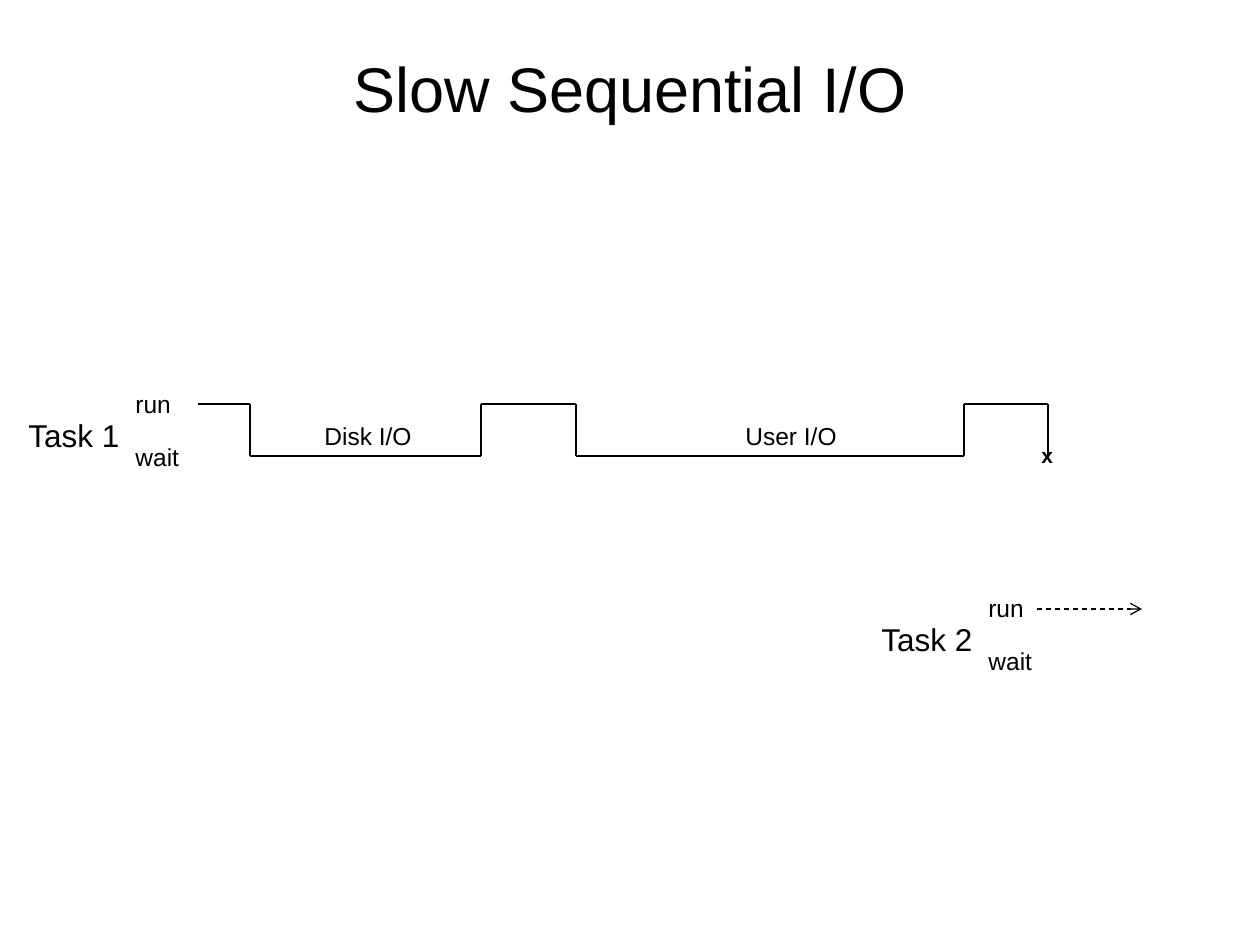
import itertools

import pptx
import pptx.dml.color
import pptx.enum.dml
import pptx.enum.shapes
import pptx.enum.text
import pptx.oxml.ns
import pptx.util
from lxml import etree

EMU_PER_PX = 914400 / 126
COLORS = {"ink": "000000", "paper": "FFFFFF"}


def px(n):
    return pptx.util.Emu(round(n * EMU_PER_PX))


def rgb(name):
    return pptx.dml.color.RGBColor.from_string(COLORS[name])


class Diagram:
    font = "Arial"
    line_width = 0.75

    def __init__(self, slide):
        self.slide = slide
        fill = slide.background.fill
        fill.solid()
        fill.fore_color.rgb = rgb("paper")

    def text(self, text, x, y, w, h, size, bold=False):
        sp = self.slide.shapes.add_textbox(px(x), px(y), px(w), px(h))
        tf = sp.text_frame
        tf.word_wrap = False
        tf.auto_size = pptx.enum.text.MSO_AUTO_SIZE.SHAPE_TO_FIT_TEXT
        p = tf.paragraphs[0]
        p.text = text
        p.font.name = self.font
        p.font.size = pptx.util.Pt(size)
        p.font.bold = bold
        p.font.color.rgb = rgb("ink")
        return sp

    def title(self, text, x, y, w, h):
        tf = self.text(text, x, y, w, h, 36).text_frame
        tf.word_wrap = True
        tf.auto_size = pptx.enum.text.MSO_AUTO_SIZE.NONE
        tf.vertical_anchor = pptx.enum.text.MSO_ANCHOR.MIDDLE
        tf.paragraphs[0].alignment = pptx.enum.text.PP_ALIGN.CENTER

    def line(self, start, end):
        sp = self.slide.shapes.add_connector(
            pptx.enum.shapes.MSO_CONNECTOR.STRAIGHT,
            *(px(n) for n in (*start, *end)))
        sp.line.color.rgb = rgb("ink")
        sp.line.width = pptx.util.Pt(self.line_width)
        etree.SubElement(sp._element.spPr, pptx.oxml.ns.qn("a:effectLst"))
        return sp

    def dashed_arrow(self, start, end):
        sp = self.line(start, end)
        sp.line.dash_style = pptx.enum.dml.MSO_LINE.DASH
        etree.SubElement(sp.line._get_or_add_ln(),
                         pptx.oxml.ns.qn("a:tailEnd"), type="arrow")

    def waveform(self, edges, high, low):
        points = [(edges[0], high)]
        for x, (before, after) in zip(
                edges[1:], itertools.cycle([(high, low), (low, high)])):
            points += [(x, before), (x, after)]
        for start, end in itertools.pairwise(points):
            self.line(start, end)

    def task(self, name, x, y):
        self.text(name, x, y, 117, 50, 18)
        self.text("run", x + 107, y - 27, 62, 43, 14)
        self.text("wait", x + 107, y + 26, 69, 43, 14)


def main():
    prs = pptx.Presentation()
    prs.slide_width, prs.slide_height = px(1260), px(945)
    d = Diagram(prs.slides.add_slide(prs.slide_layouts[6]))

    d.title("Slow Sequential I/O", 32, 32, 1196, 110)
    d.task("Task 1", 16, 410)
    d.text("Disk I/O", 312, 415, 113, 43, 14)
    d.text("User I/O", 733, 415, 117, 43, 14)
    d.waveform([198, 250, 481, 576, 964, 1048], high=404, low=456)
    d.text("x", 1029, 436, 39, 38, 12, bold=True)
    d.task("Task 2", 869, 614)
    d.dashed_arrow((1037, 609), (1142, 609))

    prs.save("out.pptx")


if __name__ == "__main__":
    main()
